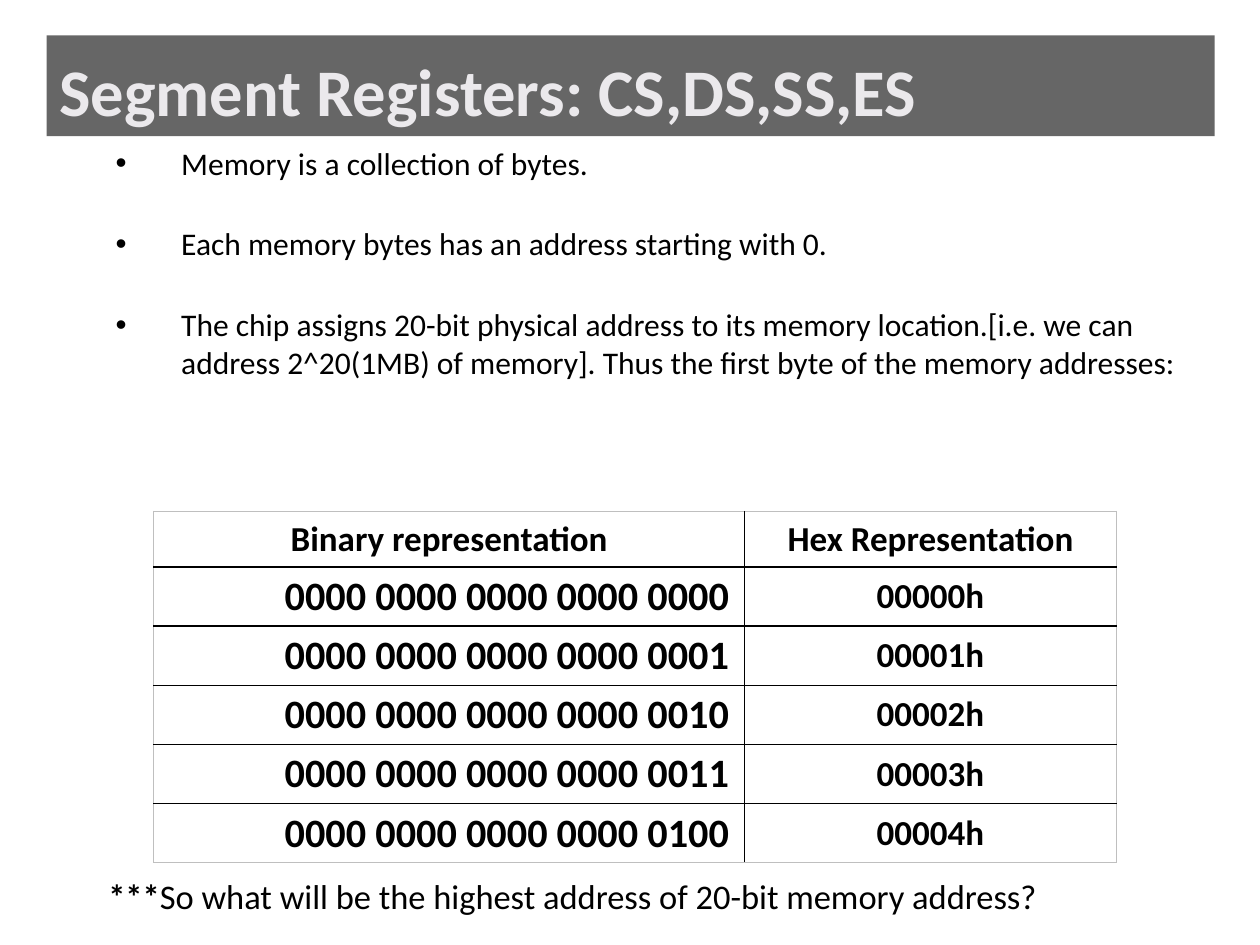
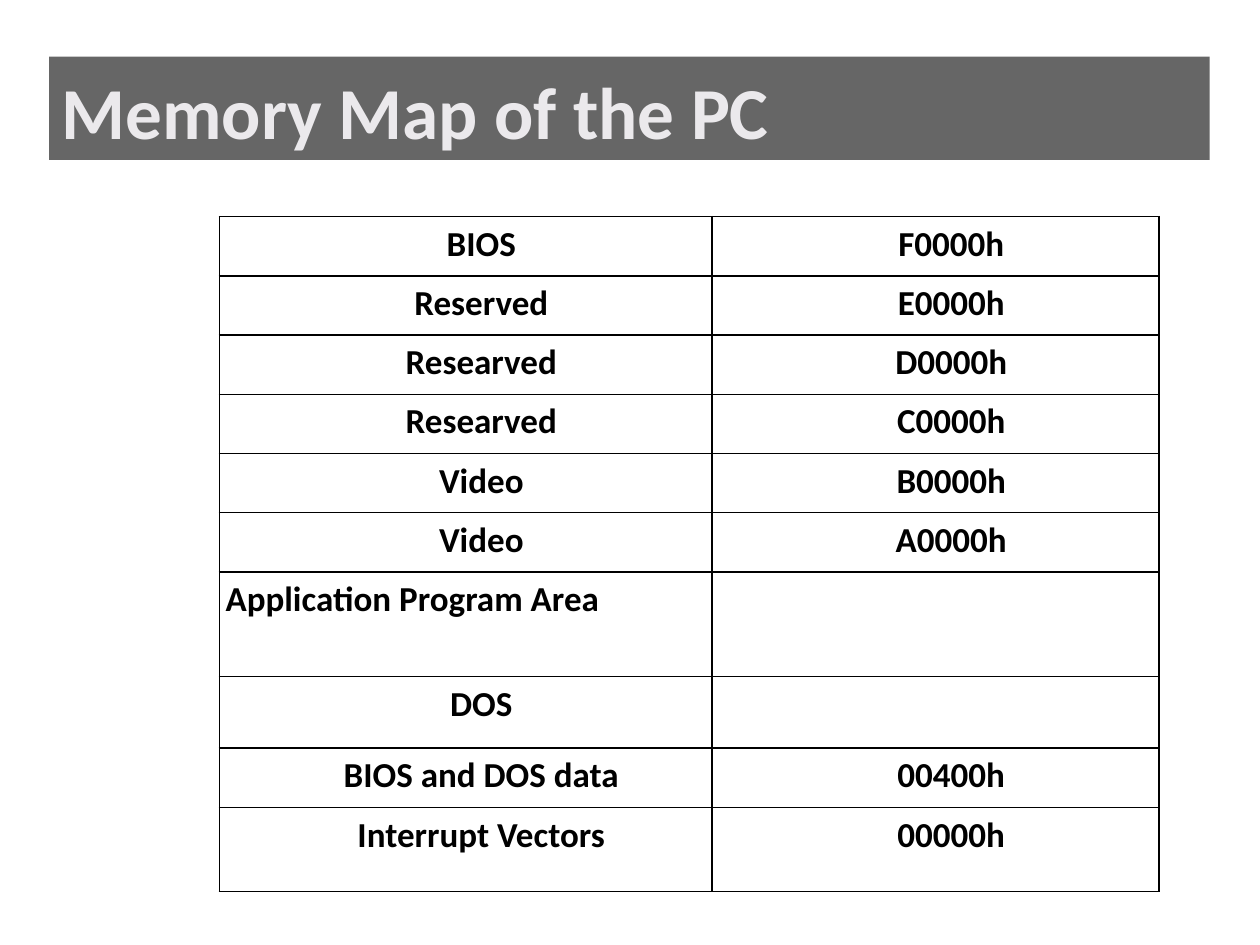
from dataclasses import dataclass
from typing import Optional

from lxml.etree import SubElement
from pptx import Presentation
from pptx.dml.color import RGBColor
from pptx.enum.text import MSO_ANCHOR as Anchor, MSO_AUTO_SIZE as AutoSize, PP_ALIGN as Align
from pptx.oxml import parse_xml
from pptx.oxml.ns import nsdecls, qn
from pptx.util import Inches, Pt

FONT = "Calibri"
BLACK, BAND, TITLE_TEXT, PALE = "000000", "262626", "EBE9EC", "BFBFBF"
BAND_OPACITY = 70


@dataclass(frozen=True)
class Box:
    left: float
    top: float
    width: float
    height: float

    def lengths(self) -> list:
        return [Inches(side) for side in (self.left, self.top, self.width, self.height)]


@dataclass(frozen=True)
class CellStyle:
    size: float = 20
    align: Align = Align.CENTER
    margin: float = 0
    indent: float = 0


@dataclass(frozen=True)
class Grid:
    box: Box
    columns: list
    heights: list
    rows: list
    inset: float
    anchor: Anchor
    edge: tuple


def colour(code: str) -> RGBColor:
    return RGBColor.from_string(code)


def add_span(para, text: str, size: float, code: str = BLACK, bold: bool = False) -> None:
    span = para.add_run()
    span.text = text
    span.font.name = FONT
    span.font.size = Pt(size)
    span.font.bold = bold
    span.font.color.rgb = colour(code)


def set_indent(para, margin: float, indent: float) -> None:
    properties = para._p.get_or_add_pPr()
    properties.set("marL", str(Inches(margin)))
    properties.set("indent", str(Inches(indent)))


def set_insets(target, inset: float) -> None:
    target.margin_left = target.margin_right = Inches(inset)
    target.margin_top = target.margin_bottom = Inches(inset)


def add_page(deck, title: str, box: Box, size: float):
    """Add a page with its title on a translucent dark band."""
    page = deck.slides.add_slide(deck.slide_layouts[5])
    band = page.shapes.title
    band.left, band.top, band.width, band.height = box.lengths()
    band.fill.solid()
    band.fill.fore_color.rgb = colour(BAND)
    shade = band._element.spPr.find(f"{qn('a:solidFill')}/{qn('a:srgbClr')}")
    SubElement(shade, qn("a:alpha")).set("val", str(BAND_OPACITY * 1000))
    frame = band.text_frame
    frame.auto_size = AutoSize.NONE
    frame.vertical_anchor = Anchor.BOTTOM
    para = frame.paragraphs[0]
    para.alignment = Align.LEFT
    add_span(para, title, size, TITLE_TEXT, bold=True)
    return page


def add_text_frame(page, box: Box):
    frame = page.shapes.add_textbox(*box.lengths()).text_frame
    frame.word_wrap = True
    return frame


def add_bullets(page, box: Box, points: list) -> None:
    frame = add_text_frame(page, box)
    for index, point in enumerate(points):
        para = frame.add_paragraph() if index else frame.paragraphs[0]
        para.space_before = Pt(24.6)
        set_indent(para, 0.52, -0.52)
        properties = para._p.get_or_add_pPr()
        SubElement(properties, qn("a:buFont")).set("typeface", "Arial")
        SubElement(properties, qn("a:buChar")).set("char", "•")
        add_span(para, point, 18)


def set_borders(cell, sides: dict) -> None:
    properties = cell._tc.get_or_add_tcPr()
    for position, (side, (code, width)) in enumerate(sides.items()):
        line = parse_xml(
            f'<a:ln{side} {nsdecls("a")} w="{Pt(width)}"><a:solidFill>'
            f'<a:srgbClr val="{code}"/></a:solidFill></a:ln{side}>')
        properties.insert(position, line)


def add_grid(page, grid: Grid) -> None:
    """Add a table; each row is a list of (text, style) entries."""
    row_count, column_count = len(grid.heights), len(grid.columns)
    table = page.shapes.add_table(row_count, column_count, *grid.box.lengths()).table
    table.first_row = table.horz_banding = False
    for column, width in zip(table.columns, grid.columns):
        column.width = Inches(width)
    inner = (BLACK, 1)
    for r, (row, height) in enumerate(zip(table.rows, grid.heights)):
        row.height = Inches(height)
        for c, (text, style) in enumerate(grid.rows[r]):
            cell = table.cell(r, c)
            cell.fill.background()
            set_borders(cell, {
                "L": inner if c else grid.edge,
                "R": inner if c < column_count - 1 else grid.edge,
                "T": inner if r else grid.edge,
                "B": inner if r < row_count - 1 else grid.edge,
            })
            set_insets(cell, grid.inset)
            cell.vertical_anchor = grid.anchor
            if text:
                para = cell.text_frame.paragraphs[0]
                para.alignment = style.align
                set_indent(para, style.margin, style.indent)
                add_span(para, text, style.size, bold=True)


def add_segment_page(deck) -> None:
    page = add_page(deck, "Segment Registers: CS,DS,SS,ES", Box(0.37, 0.28, 9.27, 0.8), 38)
    add_bullets(page, Box(0.82, 1.09, 8.86, 2.64), [
        "Memory is a collection of bytes.",
        "Each memory bytes has an address starting with 0.",
        "The chip assigns 20-bit physical address to its memory location.[i.e. we can "
        "address 2^20(1MB) of memory]. Thus the first byte of the memory addresses:",
    ])

    # Addresses 0 to 4 in binary nibbles and in hex
    centred, binary = CellStyle(), CellStyle(23, Align.LEFT, margin=1)
    rows = [[("Binary representation", centred), ("Hex Representation", centred)]]
    for address in range(5):
        nibbles = " ".join(["0000"] * 4 + [f"{address:04b}"])
        rows.append([(nibbles, binary), (f"{address:05X}h", centred)])
    add_grid(page, Grid(Box(1.22, 4.06, 7.64, 2.79), [4.69, 2.95], [0.44] + [0.47] * 5,
                        rows, 0.04, Anchor.MIDDLE, edge=(PALE, 0.75)))

    # Closing question
    frame = add_text_frame(page, Box(0.82, 6.9, 8.91, 0.41))
    set_insets(frame, 0.04)
    frame.vertical_anchor = Anchor.MIDDLE
    para = frame.paragraphs[0]
    add_span(para, "***", 19.7, bold=True)
    add_span(para, "So what will be the highest address of 20-bit memory address?", 19.7)


def add_memory_map_page(deck) -> None:
    page = add_page(deck, "Memory Map of the PC", Box(0.39, 0.45, 9.21, 0.82), 41.8)
    centred, flush = CellStyle(indent=0.25), CellStyle(align=Align.LEFT)
    areas: list[tuple[str, Optional[str], float]] = [
        ("BIOS", "F0000h", 0.47),
        ("Reserved", "E0000h", 0.47),
        ("Researved", "D0000h", 0.47),
        ("Researved", "C0000h", 0.47),
        ("Video", "B0000h", 0.47),
        ("Video", "A0000h", 0.47),
        ("Application Program Area", None, 0.83),
        ("DOS", None, 0.57),
        ("BIOS and DOS data", "00400h", 0.47),
        ("Interrupt Vectors", "00000h", 0.67),
    ]
    rows = [[(name, flush if name.startswith("Application") else centred), (start, centred)]
            for name, start, _ in areas]
    add_grid(page, Grid(Box(1.74, 1.72, 7.46, 5.36), [3.91, 3.55],
                        [height for *_, height in areas], rows, 0.05, Anchor.TOP,
                        edge=(BLACK, 1)))


def main() -> None:
    deck = Presentation()
    deck.slide_width, deck.slide_height = Inches(10), Inches(7.5)
    add_segment_page(deck)
    add_memory_map_page(deck)
    deck.save("out.pptx")


if __name__ == "__main__":
    main()
